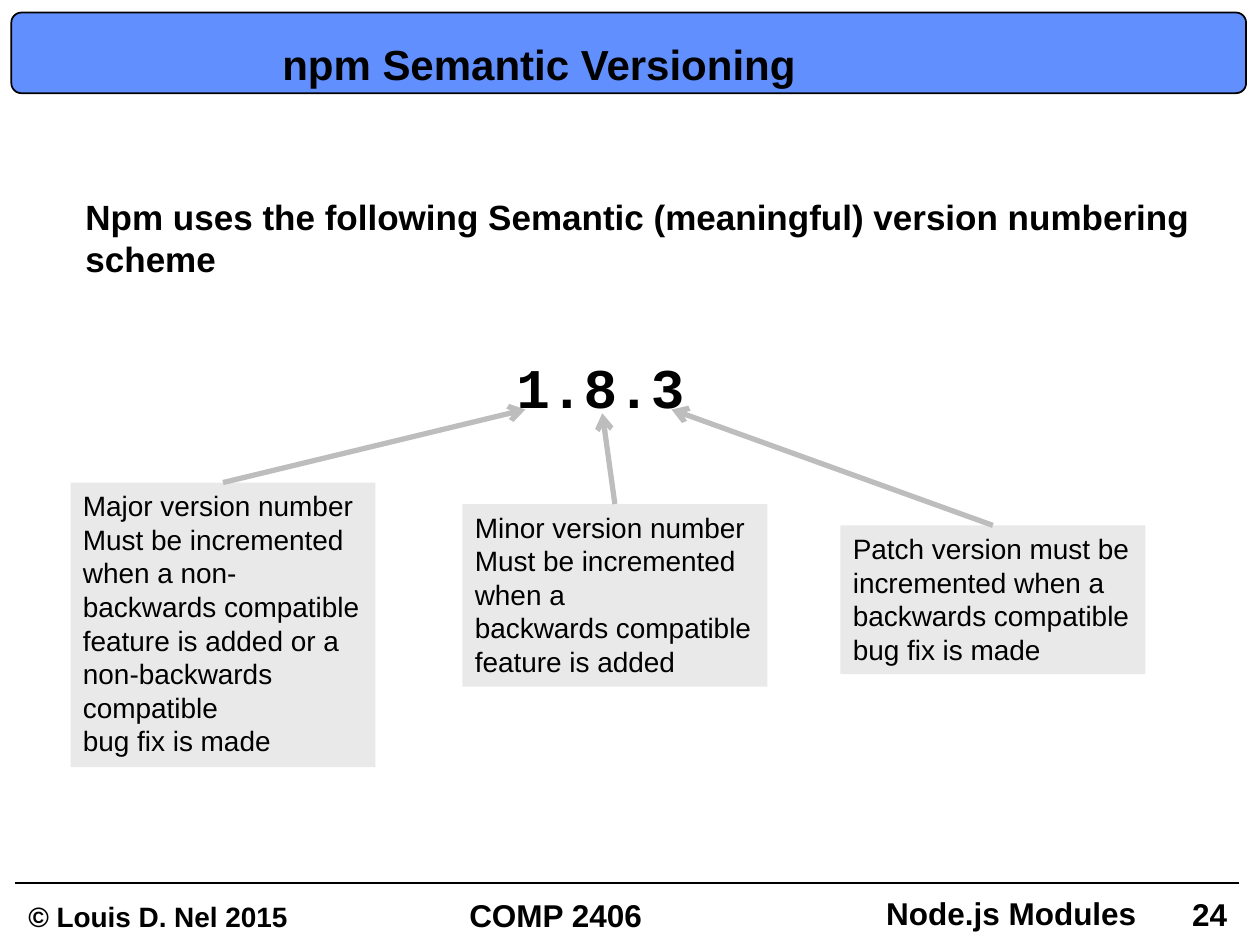
import pptx
import pptx.dml.color
import pptx.enum.shapes
import pptx.enum.text
import pptx.oxml
import pptx.oxml.ns
import pptx.util
from pptx.util import Inches

SHAPE = pptx.enum.shapes.MSO_SHAPE
ALIGN = pptx.enum.text.PP_ALIGN


def rgb(value):
    return pptx.dml.color.RGBColor.from_string(value)


class SlideBuilder:
    FONT = "Arial"
    BLACK = "000000"
    BANNER = "618FFD"
    BOX = "E9E9E9"
    ARROW = "BDBDBD"

    def __init__(self, slide):
        self.slide = slide
        self.shapes = slide.shapes

    def set_text(self, sp, text, size, bold=True, font=FONT, align=ALIGN.LEFT,
                 spacing=None, wrap=True, insets=(0.1, 0.05)):
        tf = sp.text_frame
        tf.text = text
        tf.word_wrap = wrap
        tf.auto_size = pptx.enum.text.MSO_AUTO_SIZE.NONE
        tf.vertical_anchor = pptx.enum.text.MSO_ANCHOR.TOP
        tf.margin_left = tf.margin_right = Inches(insets[0])
        tf.margin_top = tf.margin_bottom = Inches(insets[1])
        for p in tf.paragraphs:
            p.alignment = align
            if spacing:
                p.line_spacing = spacing
            for r in p.runs:
                r.font.name = font
                r.font.size = pptx.util.Pt(size)
                r.font.bold = bold
                r.font.color.rgb = rgb(self.BLACK)

    def title(self, text, x, y, w, h):
        sp = self.shapes.title
        sp.left, sp.top, sp.width, sp.height = map(Inches, (x, y, w, h))
        self.set_text(sp, text, 24, spacing=0.87, wrap=False,
                      insets=(0.07, 0.03))
        # Bring the title in front of the banner
        self.shapes._spTree.append(sp._element)

    def text(self, text, x, y, w, h, size, **style):
        sp = self.shapes.add_textbox(*map(Inches, (x, y, w, h)))
        self.set_text(sp, text, size, **style)

    def footer(self, text, x, y, w, h, size, align):
        self.text(text, x, y, w, h, size, align=align, spacing=0.85,
                  wrap=False, insets=(0.07, 0.03))

    def shape(self, kind, x, y, w, h, fill):
        sp = self.shapes.add_shape(kind, *map(Inches, (x, y, w, h)))
        sp.shadow.inherit = False
        sp.fill.solid()
        sp.fill.fore_color.rgb = rgb(fill)
        sp.line.fill.background()
        return sp

    def banner(self, x, y, w, h):
        sp = self.shape(SHAPE.ROUNDED_RECTANGLE, x, y, w, h, self.BANNER)
        sp.adjustments[0] = 0.125
        sp.line.color.rgb = rgb(self.BLACK)
        sp.line.width = pptx.util.Pt(1)

    def callout(self, text, x, y, h):
        sp = self.shape(SHAPE.RECTANGLE, x, y, 2.42, h, self.BOX)
        self.set_text(sp, text, 16, bold=False)
        return sp

    def line(self, x1, y1, x2, y2, color=BLACK, width=1):
        cxn = self.shapes.add_connector(
            pptx.enum.shapes.MSO_CONNECTOR.STRAIGHT,
            *map(Inches, (x1, y1, x2, y2)))
        cxn.line.color.rgb = rgb(color)
        cxn.line.width = pptx.util.Pt(width)
        cxn._element.spPr.append(pptx.oxml.parse_xml(
            f"<a:effectLst {pptx.oxml.ns.nsdecls('a')}/>"))
        return cxn

    def arrow_from_top(self, box, x, y):
        """Draw an arrow from the middle of the box's top side to (x, y)."""
        cxn = self.line(0, 0, x, y, self.ARROW, 3)
        cxn.begin_connect(box, 0)
        cxn.line._get_or_add_ln().append(pptx.oxml.parse_xml(
            f"<a:tailEnd {pptx.oxml.ns.nsdecls('a')} type='arrow'/>"))


CALLOUTS = [
    # text, left, top, height, arrow tip
    ("Major version number\nMust be incremented when a non-backwards "
     "compatible feature is added or a non-backwards compatible\v"
     "bug fix is made", 0.56, 3.83, 2.26, (4.17, 3.25)),
    ("Minor version number\nMust be incremented when a\n"
     "backwards compatible feature is added",
     3.67, 4, 1.45, (4.78, 3.28)),
    ("Patch version must be incremented when a\vbackwards compatible\v"
     "bug fix is made", 6.67, 4.17, 1.18, (5.33, 3.25)),
]


def main():
    prs = pptx.Presentation()
    prs.slide_width, prs.slide_height = Inches(10), Inches(7.5)
    s = SlideBuilder(prs.slides.add_slide(prs.slide_layouts[5]))

    s.footer("© Louis D. Nel 2015", 0.14, 7.15, 2.23, 0.28, 16, ALIGN.CENTER)
    s.footer("24", 9.37, 7.12, 0.44, 0.31, 18, ALIGN.RIGHT)
    s.line(0.12, 7.01, 9.83, 7.01)
    s.banner(0.09, 0.1, 9.8, 0.64)
    s.footer("Node.js Modules", 6.52, 7.11, 2.57, 0.31, 18, ALIGN.RIGHT)
    s.footer("COMP 2406", 3.65, 7.13, 1.52, 0.31, 18, ALIGN.CENTER)

    s.title("npm Semantic Versioning", 2.17, 0.33, 4.27, 0.41)
    s.text("Npm uses the following Semantic (meaningful) version numbering "
           "scheme", 0.58, 1.5, 9.17, 4.14, 20)
    s.text("1.8.3", 4, 2.75, 1.55, 0.64, 32, font="Courier New", wrap=False)

    boxes = [s.callout(text, x, y, h) for text, x, y, h, _ in CALLOUTS]
    for box, (*_, tip) in zip(boxes, CALLOUTS):
        s.arrow_from_top(box, *tip)

    prs.save("out.pptx")


if __name__ == "__main__":
    main()
